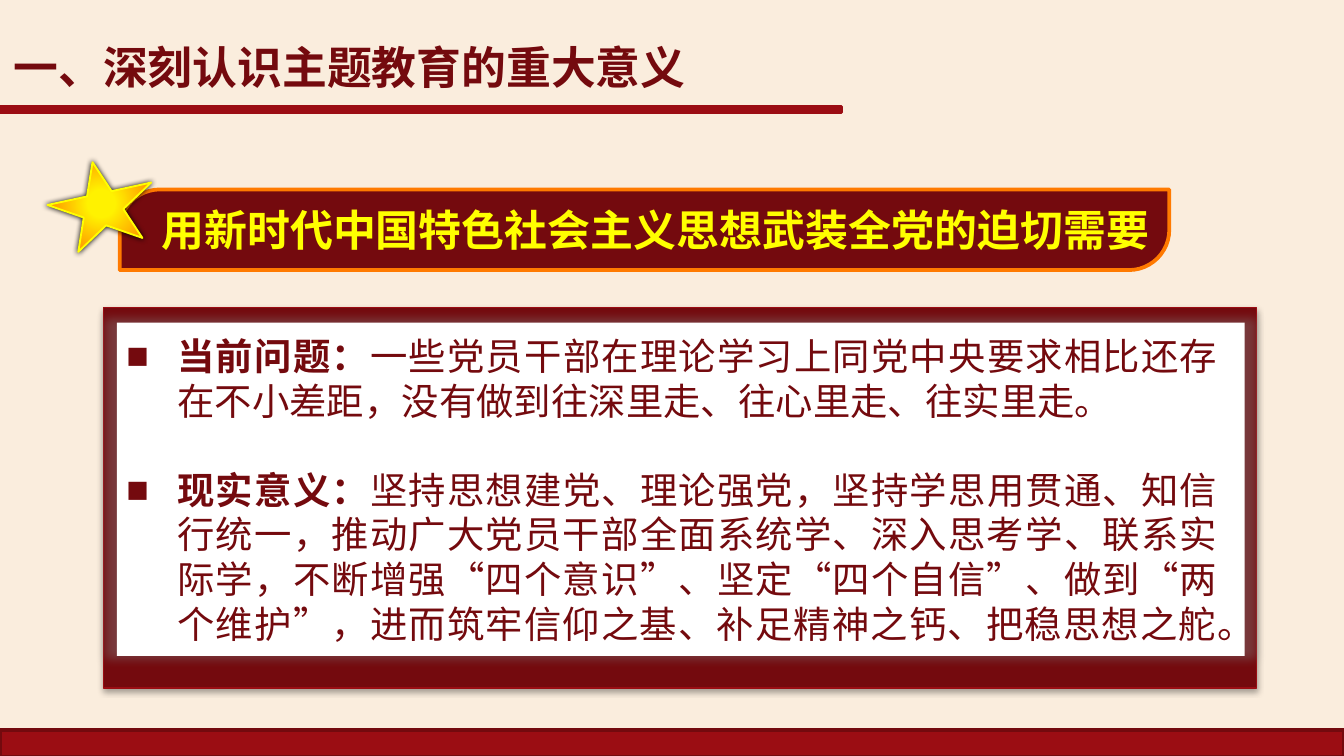
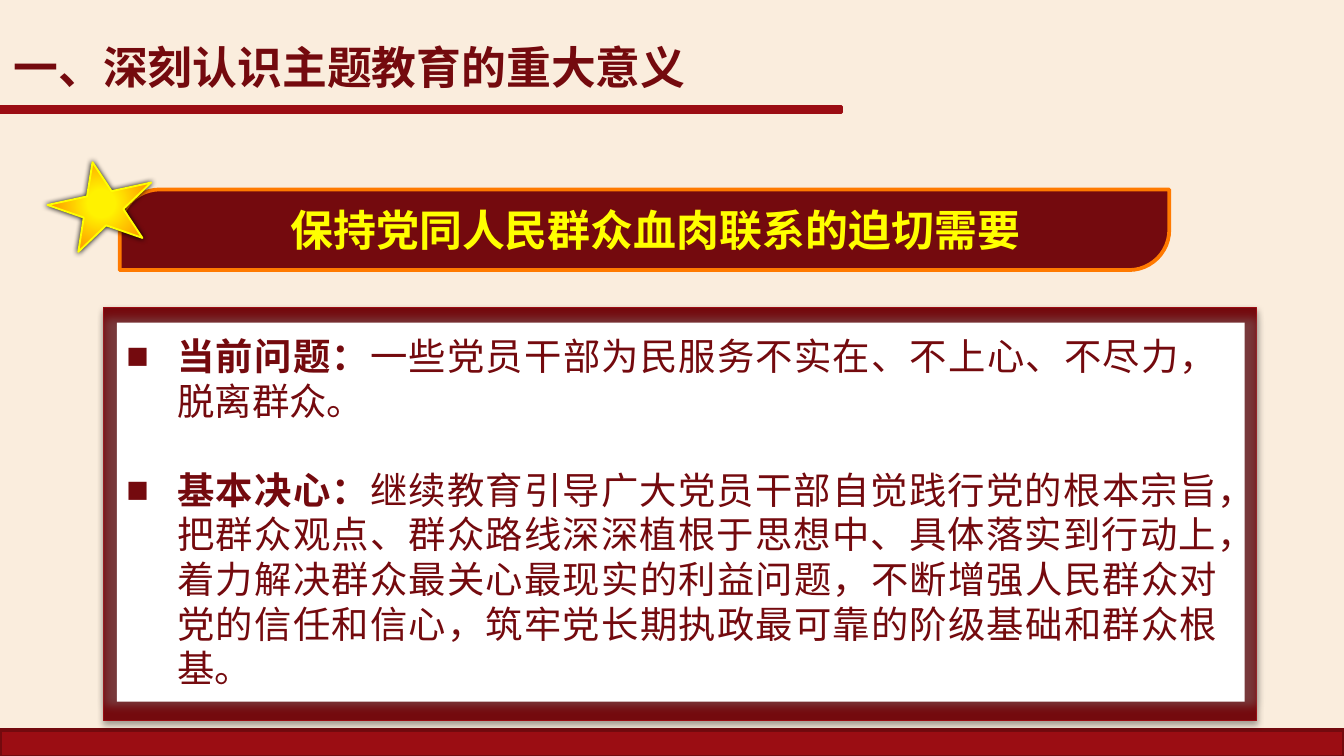
from dataclasses import dataclass

import pptx
import pptx.dml.color
import pptx.enum.lang
import pptx.enum.shapes
import pptx.enum.text
import pptx.oxml
import pptx.oxml.ns
import pptx.util
from pptx.util import Inches

COLORS = {
    "cream": "FAEDDD",
    "red": "9B0D13",
    "footer_edge": "730A0E",
    "dark_red": "740A0E",
    "orange": "FF7A00",
    "gold": "FFF200",
    "yellow": "FFFF00",
    "white": "FFFFFF",
    "black": "000000",
    "gray": "808080",
}
LATIN_FONT = "Arial"
CHINESE_FONT = "Noto Sans CJK SC"
LINE_PITCH = 23.9
SLIDE_WIDTH = Inches(10)
SLIDE_HEIGHT = SLIDE_WIDTH * 9 // 16
SHAPES = pptx.enum.shapes.MSO_SHAPE
ALIGN = pptx.enum.text.PP_ALIGN
ANCHOR = pptx.enum.text.MSO_ANCHOR


@dataclass(frozen=True)
class Box:
    left: float
    top: float
    width: float
    height: float

    def lengths(self) -> tuple:
        return tuple(Inches(v) for v in (self.left, self.top, self.width, self.height))


@dataclass(frozen=True)
class Shadow:
    color: str
    alpha: int
    blur: float
    distance: float = 0
    direction: int = 0
    scale: int = 100


@dataclass(frozen=True)
class Point:
    label: str
    text: str


@dataclass(frozen=True)
class Topic:
    banner: str
    frame_height: float
    paper_height: float
    text_height: float
    points: tuple


TITLE = "一、深刻认识主题教育的重大意义"
TOPICS = (
    Topic("用新时代中国特色社会主义思想武装全党的迫切需要", 2.83, 2.48, 2.46, (
        Point("当前问题：", "一些党员干部在理论学习上同党中央要求相比还存在不小差距，"
              "没有做到往深里走、往心里走、往实里走。"),
        Point("现实意义：", "坚持思想建党、理论强党，坚持学思用贯通、知信行统一，"
              "推动广大党员干部全面系统学、深入思考学、联系实际学，"
              "不断增强“四个意识”、坚定“四个自信”、做到“两个维护”，"
              "进而筑牢信仰之基、补足精神之钙、把稳思想之舵。"),
    )),
    Topic("保持党同人民群众血肉联系的迫切需要", 3.07, 2.82, 2.79, (
        Point("当前问题：", "一些党员干部为民服务不实在、不上心、不尽力，脱离群众。"),
        Point("基本决心：", "继续教育引导广大党员干部自觉践行党的根本宗旨，"
              "把群众观点、群众路线深深植根于思想中、具体落实到行动上，"
              "着力解决群众最关心最现实的利益问题，不断增强人民群众对党的信任和信心，"
              "筑牢党长期执政最可靠的阶级基础和群众根基。"),
    )),
)


def rgb(name: str) -> pptx.dml.color.RGBColor:
    return pptx.dml.color.RGBColor.from_string(COLORS[name])


def drawing_xml(markup: str):
    namespace = pptx.oxml.ns.nsdecls("a")
    return pptx.oxml.parse_xml(markup.replace(">", f" {namespace}>", 1))


def add_shape(shapes, kind, box: Box, fill: str, line: str | None = None,
              line_width: float = 1, shadow: Shadow | None = None):
    shape = shapes.add_shape(kind, *box.lengths())
    shape.fill.solid()
    shape.fill.fore_color.rgb = rgb(fill)
    if line:
        shape.line.color.rgb = rgb(line)
        shape.line.width = pptx.util.Pt(line_width)
    else:
        shape.line.fill.background()
    shape.shadow.inherit = False
    if shadow:
        add_shadow(shape, shadow)
    return shape


def add_shadow(shape, shadow: Shadow) -> None:
    outer = drawing_xml(
        f'<a:outerShdw><a:srgbClr val="{COLORS[shadow.color]}">'
        f'<a:alpha val="{shadow.alpha * 1000}"/></a:srgbClr></a:outerShdw>')
    settings = {
        "blurRad": int(pptx.util.Pt(shadow.blur)),
        "dist": int(pptx.util.Pt(shadow.distance)),
        "dir": shadow.direction * 60000,
        "sx": shadow.scale * 1000,
        "sy": shadow.scale * 1000,
        "algn": "ctr",
        "rotWithShape": 0,
    }
    for name, value in settings.items():
        outer.set(name, str(value))
    shape.element.spPr.find(pptx.oxml.ns.qn("a:effectLst")).append(outer)


def fill_radially(shape, inner: str, outer: str) -> None:
    gradient = drawing_xml(
        '<a:gradFill><a:gsLst>'
        f'<a:gs pos="17000"><a:srgbClr val="{COLORS[inner]}"/></a:gs>'
        f'<a:gs pos="79000"><a:srgbClr val="{COLORS[outer]}"/></a:gs></a:gsLst>'
        '<a:path path="circle"><a:fillToRect l="50000" t="50000" r="50000" b="50000"/>'
        '</a:path></a:gradFill>')
    properties = shape.element.spPr
    properties.replace(properties.find(pptx.oxml.ns.qn("a:solidFill")), gradient)


def format_run(run, size: float, color: str, bold: bool = True,
               latin: str = CHINESE_FONT) -> None:
    run.font.size = pptx.util.Pt(size)
    run.font.bold = bold
    run.font.color.rgb = rgb(color)
    run.font.name = latin
    run.font.language_id = pptx.enum.lang.MSO_LANGUAGE_ID.SIMPLIFIED_CHINESE
    east_asian = drawing_xml(f'<a:ea typeface="{CHINESE_FONT}"></a:ea>')
    run.font._element.find(pptx.oxml.ns.qn("a:latin")).addnext(east_asian)


def place(shape, box: Box, anchor) -> None:
    shape.left, shape.top, shape.width, shape.height = box.lengths()
    frame = shape.text_frame
    frame.word_wrap = True
    frame.auto_size = pptx.enum.text.MSO_AUTO_SIZE.NONE
    frame.vertical_anchor = anchor


def add_bands(slide, layout) -> None:
    """Draw the shared bands and hand them to the layout."""
    bands = (
        (Box(0, 5.43, 10, 0.2), "footer_edge", 2),
        (Box(0, 0.79, 6.26, 0.05), "red", 1.5),
    )
    for number, (box, line, width) in enumerate(bands):
        band = add_shape(slide.shapes, SHAPES.RECTANGLE, box, "red", line, width)
        band.element.nvSpPr.cNvPr.set("id", str(100 + number))
        layout.shapes.element.insert(2 + number, band.element)


def add_title(slide) -> None:
    title = slide.shapes.title
    place(title, Box(0, 0.14, 5.31, 0.63), ANCHOR.MIDDLE)
    title.text_frame.text = TITLE
    paragraph = title.text_frame.paragraphs[0]
    paragraph.alignment = ALIGN.LEFT
    paragraph.line_spacing = 1.2
    format_run(paragraph.runs[0], 24, "dark_red", latin=LATIN_FONT)


def add_banner(slide, text: str) -> None:
    shapes = slide.shapes.add_group_shape().shapes
    plate = add_shape(shapes, SHAPES.ROUND_2_DIAG_RECTANGLE, Box(0.89, 1.41, 7.81, 0.6),
                      "dark_red", "orange", 2)
    plate.adjustments[0] = 0.5
    star = add_shape(shapes, SHAPES.STAR_5_POINT, Box(0.36, 1.2, 0.79, 0.63),
                     "gold", "yellow", 1, Shadow("black", 100, 3))
    star.rotation = 347.8
    fill_radially(star, "gold", "orange")

    box = Box(1.06, 1.46, 7.64, 0.49)
    caption = shapes.add_textbox(*box.lengths())
    place(caption, box, ANCHOR.MIDDLE)
    caption.text_frame.text = text
    paragraph = caption.text_frame.paragraphs[0]
    paragraph.alignment = ALIGN.CENTER
    format_run(paragraph.runs[0], 23, "yellow")


def add_points(slide, topic: Topic) -> None:
    # Framed paper
    add_shape(slide.shapes, SHAPES.RECTANGLE, Box(0.77, 2.29, 8.58, topic.frame_height),
              "dark_red", "red", 0.75, Shadow("black", 35, 3.1, 1.8, 90))
    add_shape(slide.shapes, SHAPES.RECTANGLE, Box(0.87, 2.4, 8.39, topic.paper_height),
              "white", shadow=Shadow("gray", 40, 5, scale=102))

    # Bulleted list, brought in front of the paper
    body = slide.placeholders[1]
    slide.shapes.element.append(body.element)
    place(body, Box(0.84, 2.43, 8.32, topic.text_height), ANCHOR.TOP)
    frame = body.text_frame
    for number, point in enumerate(topic.points):
        paragraph = frame.add_paragraph() if number else frame.paragraphs[0]
        paragraph.alignment = ALIGN.JUSTIFY
        paragraph.line_spacing = pptx.util.Pt(LINE_PITCH)
        paragraph.space_before = pptx.util.Pt(LINE_PITCH if number else 0)
        for text, bold in ((point.label, True), (point.text, False)):
            run = paragraph.add_run()
            run.text = text
            format_run(run, 20, "dark_red", bold)
        properties = paragraph._p.get_or_add_pPr()
        properties.set("marL", str(int(Inches(0.38))))
        properties.set("indent", str(int(Inches(-0.38))))
        properties.append(drawing_xml(f'<a:buFont typeface="{LATIN_FONT}"></a:buFont>'))
        properties.append(drawing_xml('<a:buChar char="■"></a:buChar>'))


def main() -> None:
    presentation = pptx.Presentation()
    presentation.slide_width = SLIDE_WIDTH
    presentation.slide_height = SLIDE_HEIGHT
    background = presentation.slide_master.background.fill
    background.solid()
    background.fore_color.rgb = rgb("cream")
    layout = presentation.slide_layouts[1]

    for number, topic in enumerate(TOPICS):
        slide = presentation.slides.add_slide(layout)
        if number == 0:
            add_bands(slide, layout)
        add_title(slide)
        add_banner(slide, topic.banner)
        add_points(slide, topic)

    presentation.save("out.pptx")


if __name__ == "__main__":
    main()
